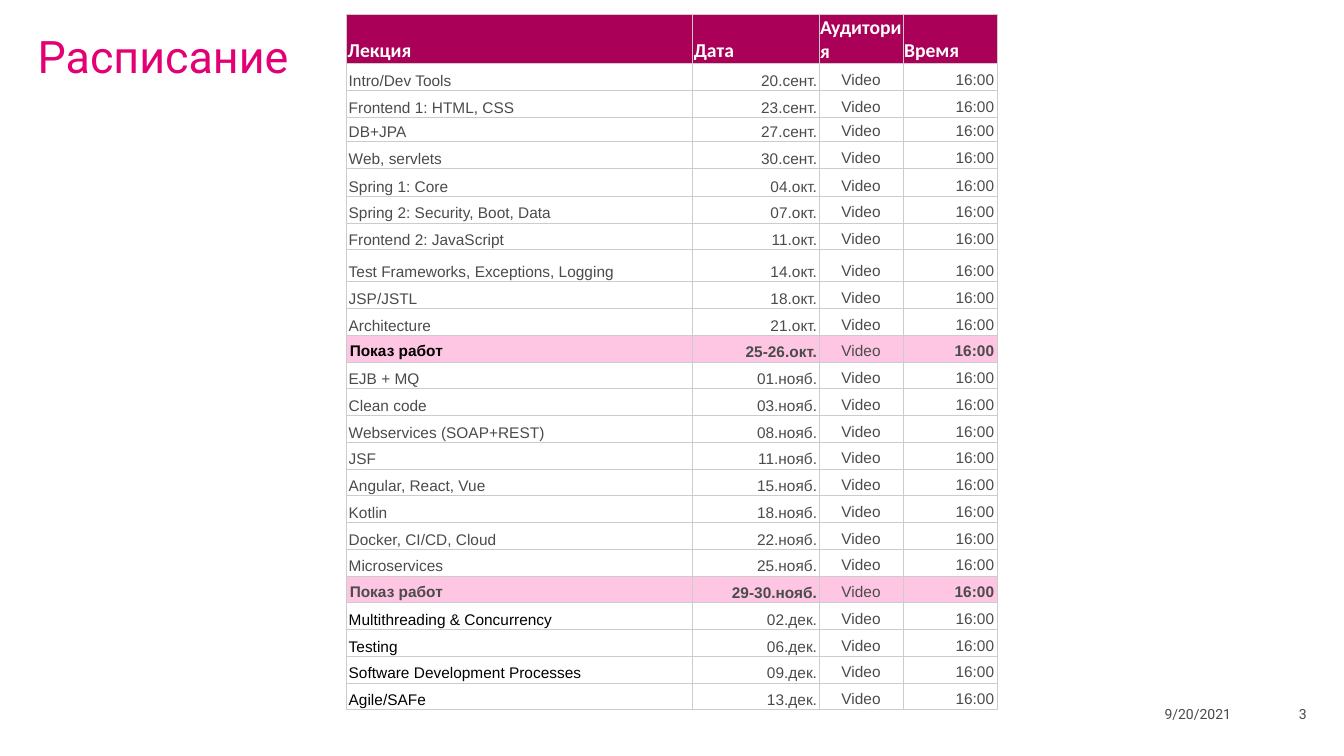
from lxml import etree
from pptx import Presentation
from pptx.dml.color import RGBColor
from pptx.enum.text import MSO_ANCHOR, PP_ALIGN
from pptx.oxml.ns import qn
from pptx.util import Inches, Pt

LEFT, CENTER, RIGHT = PP_ALIGN.LEFT, PP_ALIGN.CENTER, PP_ALIGN.RIGHT
TOP, MIDDLE, BOTTOM = MSO_ANCHOR.TOP, MSO_ANCHOR.MIDDLE, MSO_ANCHOR.BOTTOM

MAGENTA, DARK_MAGENTA, PINK = "E20074", "AA0057", "FFC6E3"
GRAY, BLACK, WHITE, BORDER = "4B4B4B", "000000", "FFFFFF", "CCCCCC"
TIGHT, LOOSE = (0.02, 0.01), (0.03, 0.02)

HEADERS = ["Лекция", "Дата", "Аудитория", "Время"]
ALIGNMENTS = [LEFT, RIGHT, CENTER, RIGHT]
COLUMN_WIDTHS = [25.75, 9.4, 6.25, 7]
ROOM, TIME = "Video", "16:00"
SHOWCASE = "Показ работ"
LECTURES = [
    ("Intro/Dev Tools", "20.сент."),
    ("Frontend 1: HTML, CSS", "23.сент."),
    ("DB+JPA", "27.сент."),
    ("Web, servlets", "30.сент."),
    ("Spring 1: Core", "04.окт."),
    ("Spring 2: Security, Boot, Data", "07.окт."),
    ("Frontend 2: JavaScript", "11.окт."),
    ("Test Frameworks, Exceptions, Logging", "14.окт."),
    ("JSP/JSTL", "18.окт."),
    ("Architecture", "21.окт."),
    (SHOWCASE, "25-26.окт."),
    ("EJB + MQ", "01.нояб."),
    ("Clean code", "03.нояб."),
    ("Webservices (SOAP+REST)", "08.нояб."),
    ("JSF", "11.нояб."),
    ("Angular, React, Vue", "15.нояб."),
    ("Kotlin", "18.нояб."),
    ("Docker, CI/CD, Cloud", "22.нояб."),
    ("Microservices", "25.нояб."),
    (SHOWCASE, "29-30.нояб."),
    ("Multithreading & Concurrency", "02.дек."),
    ("Testing", "06.дек."),
    ("Software Development Processes", "09.дек."),
    ("Agile/SAFe", "13.дек."),
]
BLACK_NAME_ROWS = {11, 21, 22, 23, 24}
ROW_HEIGHT = 3.54
SPECIAL_HEIGHTS = {0: 3.2, 3: 3.23, 5: 3.68, 8: 4.25}


def color(hex_string):
    return RGBColor.from_string(hex_string)


class SlideBuilder:
    """Places elements on a grid of 100 columns by 100 rows over the slide."""

    def __init__(self, presentation):
        self.column = presentation.slide_width / 100
        self.row = presentation.slide_height / 100
        self.slide = presentation.slides.add_slide(presentation.slide_layouts[5])

    def box(self, left, top, width, height):
        return (round(left * self.column), round(top * self.row),
                round(width * self.column), round(height * self.row))

    def set_text(self, frame, text, font_name, size, ink, alignment=LEFT, bold=False):
        frame.text = text
        frame.word_wrap = True
        paragraph = frame.paragraphs[0]
        paragraph.alignment = alignment
        font = paragraph.font
        font.name, font.size, font.bold = font_name, Pt(size), bold
        font.color.rgb = color(ink)
        return paragraph

    def clear_margins(self, frame, anchor):
        frame.margin_left = frame.margin_right = 0
        frame.margin_top = frame.margin_bottom = 0
        frame.vertical_anchor = anchor

    def title(self, text, *place):
        shape = self.slide.shapes.title
        shape.left, shape.top, shape.width, shape.height = self.box(*place)
        self.clear_margins(shape.text_frame, TOP)
        paragraph = self.set_text(shape.text_frame, text, "Roboto", 32, MAGENTA)
        paragraph.line_spacing = 0.85

    def footer(self, text, alignment, *place):
        frame = self.slide.shapes.add_textbox(*self.box(*place)).text_frame
        self.clear_margins(frame, MIDDLE)
        self.set_text(frame, text, "Roboto", 10, GRAY, alignment)

    def table(self, left, top, widths, heights):
        place = self.box(left, top, sum(widths), sum(heights))
        table = self.slide.shapes.add_table(len(heights), len(widths), *place).table
        table.first_row = table.horz_banding = False
        for column, width in zip(table.columns, widths):
            column.width = round(width * self.column)
        for row, height in zip(table.rows, heights):
            row.height = round(height * self.row)
        return table

    def cell(self, cell, text, fill, padding, **style):
        side, end = padding
        cell.margin_left = cell.margin_right = Inches(side)
        cell.margin_top = cell.margin_bottom = Inches(end)
        cell.vertical_anchor = BOTTOM
        self.borders(cell)
        if fill:
            cell.fill.solid()
            cell.fill.fore_color.rgb = color(fill)
        else:
            cell.fill.background()
        self.set_text(cell.text_frame, text, **style)

    def borders(self, cell):
        properties = cell._tc.get_or_add_tcPr()
        for edge in ("a:lnL", "a:lnR", "a:lnT", "a:lnB"):
            line = etree.SubElement(properties, qn(edge), w=str(Pt(0.75)))
            fill = etree.SubElement(line, qn("a:solidFill"))
            etree.SubElement(fill, qn("a:srgbClr"), val=BORDER)


def fill_schedule(builder, table):
    for index, header in enumerate(HEADERS):
        builder.cell(table.cell(0, index), header, DARK_MAGENTA, (0.01, 0.01),
                     font_name="Calibri", size=14, ink=WHITE, bold=True)
    for row, (name, date) in enumerate(LECTURES, start=1):
        showcase = name == SHOWCASE
        fill = PINK if showcase else WHITE if row > 20 else None
        for index, text in enumerate((name, date, ROOM, TIME)):
            loose = index > 1 or (showcase and index == 0)
            black = index == 0 and row in BLACK_NAME_ROWS
            builder.cell(table.cell(row, index), text, fill,
                         LOOSE if loose else TIGHT,
                         font_name="Arial", size=11, ink=BLACK if black else GRAY,
                         alignment=ALIGNMENTS[index], bold=showcase and index != 2)


def main():
    presentation = Presentation()
    presentation.slide_width, presentation.slide_height = Inches(13.33), Inches(7.5)
    builder = SlideBuilder(presentation)
    builder.title("Расписание", 2.8, 4.9, 94.4, 12.4)
    builder.footer("9/20/2021", CENTER, 84.77, 93.6, 8.7, 1.6)
    builder.footer("3", RIGHT, 94.37, 93.6, 2.85, 1.6)
    heights = [SPECIAL_HEIGHTS.get(row, ROW_HEIGHT) for row in range(len(LECTURES) + 1)]
    fill_schedule(builder, builder.table(25.8, 1.95, COLUMN_WIDTHS, heights))
    presentation.save("out.pptx")


if __name__ == "__main__":
    main()
